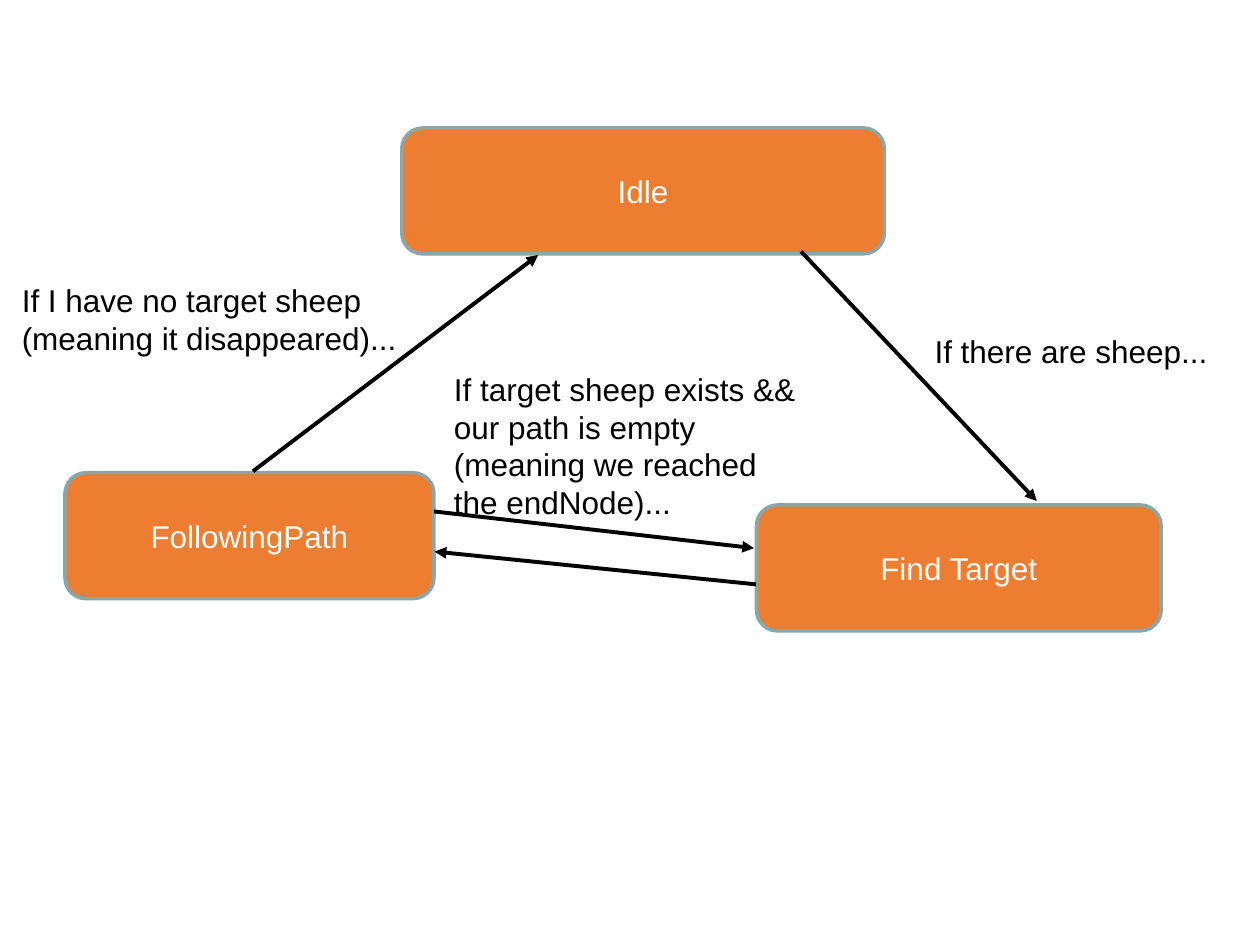
from typing import NamedTuple

from lxml import etree
from pptx import Presentation
from pptx import util as u
from pptx.dml import color
from pptx.enum import shapes, text
from pptx.oxml import ns


class State(NamedTuple):
    name: str
    left: float
    top: float
    width: float


class Arrow(NamedTuple):
    x1: float
    y1: float
    x2: float
    y2: float


class Label(NamedTuple):
    words: str
    left: float
    top: float
    width: float
    height: float


STATE_HEIGHT = 2.54
STATES = [
    State("Idle", 8.1, 2.58, 9.73),
    State("Find Target", 15.25, 10.18, 8.16),
    State("FollowingPath", 1.31, 9.53, 7.44),
]
ARROWS = [
    Arrow(15.24, 11.78, 8.76, 11.12),
    Arrow(5.1, 9.5, 10.85, 5.14),
    Arrow(16.15, 5.07, 20.9, 10.1),
    Arrow(8.75, 10.31, 15.2, 11.05),
]
LABELS = [
    Label("If there are sheep...", 18.59, 6.56, 6.8, 1.02),
    Label("If I have no target sheep (meaning it disappeared)...", 0.19, 5.54, 8.86, 1.8),
    Label("If target sheep exists && our path is empty (meaning we reached the endNode)...",
          8.9, 7.33, 7.62, 3.33),
]


def rgb(value: str) -> color.RGBColor:
    return color.RGBColor.from_string(value)


def write(tf, words: str, *, fill: str = "000000", size: float = 18, font: str = "Arial",
          align=text.PP_ALIGN.LEFT, anchor=text.MSO_ANCHOR.TOP) -> None:
    tf.word_wrap = True
    tf.vertical_anchor = anchor
    p = tf.paragraphs[0]
    p.alignment = align
    r = p.add_run()
    r.text = words
    r.font.name = font
    r.font.size = u.Pt(size)
    r.font.color.rgb = rgb(fill)


def draw_state(slide, state: State) -> None:
    sp = slide.shapes.add_shape(shapes.MSO_SHAPE.ROUNDED_RECTANGLE, u.Cm(state.left),
                                u.Cm(state.top), u.Cm(state.width), u.Cm(STATE_HEIGHT))
    sp.shadow.inherit = False
    sp.fill.solid()
    sp.fill.fore_color.rgb = rgb("ED7D31")
    sp.line.color.rgb = rgb("8AA6A8")
    sp.line.width = u.Pt(2)
    write(sp.text_frame, state.name, fill="FFFFFF", align=text.PP_ALIGN.CENTER,
          anchor=text.MSO_ANCHOR.MIDDLE)


def draw_arrow(slide, arrow: Arrow) -> None:
    cxn = slide.shapes.add_connector(shapes.MSO_CONNECTOR.STRAIGHT, *map(u.Cm, arrow))
    cxn.line.color.rgb = rgb("000000")
    cxn.line.width = u.Pt(2.25)
    etree.SubElement(cxn.line._get_or_add_ln(), ns.qn("a:tailEnd"), type="triangle")
    etree.SubElement(cxn._element.spPr, ns.qn("a:effectLst"))


def draw_label(slide, label: Label) -> None:
    sp = slide.shapes.add_textbox(*map(u.Cm, label[1:]))
    sp.text_frame.auto_size = text.MSO_AUTO_SIZE.SHAPE_TO_FIT_TEXT
    write(sp.text_frame, label.words)


prs = Presentation()
prs.slide_width, prs.slide_height = u.Cm(25.4), u.Cm(19.05)
slide = prs.slides.add_slide(prs.slide_layouts[6])
for state in STATES:
    draw_state(slide, state)
for arrow in ARROWS:
    draw_arrow(slide, arrow)
for label in LABELS:
    draw_label(slide, label)
prs.save("out.pptx")
